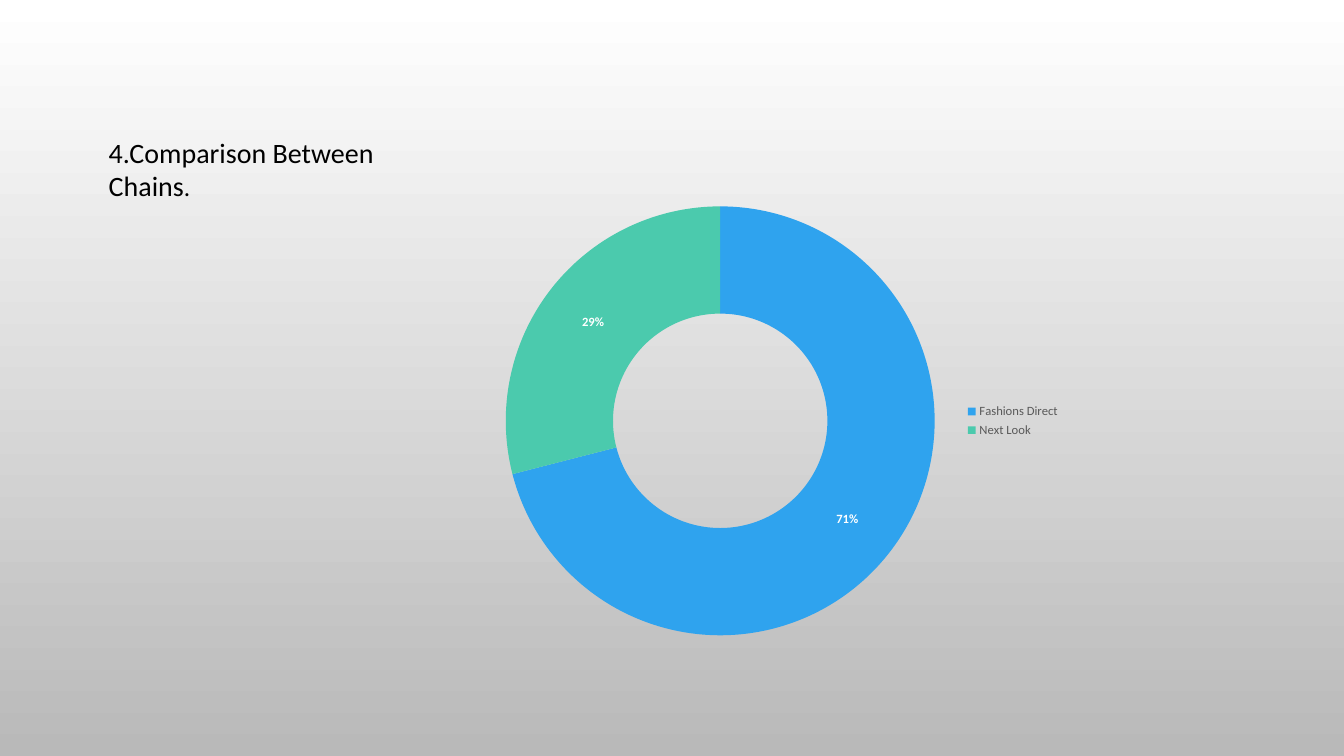
from dataclasses import dataclass

from pptx import Presentation
from pptx.chart import data
from pptx.dml import color
from pptx.enum import chart as kinds
from pptx.util import Cm, Pt


@dataclass(frozen=True)
class Theme:
    font: str = "Calibri"
    ink: str = "000000"
    grey: str = "595959"
    white: str = "FFFFFF"
    sky: tuple = ("FFFFFF", "B9B9B9")
    hues: tuple = ("2FA3EE", "4BCAAD")
    head: int = 20
    stop: int = 18
    base: int = 10
    small: int = 9


THEME = Theme()


def rgb(code):
    return color.RGBColor.from_string(code)


def style(font, size, code, bold=False):
    font.name = THEME.font
    font.size = Pt(size)
    font.bold = bold
    font.color.rgb = rgb(code)


def shade(slide):
    """Fill the background from top to bottom."""
    fill = slide.background.fill
    fill.gradient()
    fill.gradient_angle = 270
    for stop, code in zip(fill.gradient_stops, THEME.sky):
        stop.color.rgb = rgb(code)


def add_text(para, words, size=THEME.head, code=THEME.ink, bold=False):
    run = para.add_run()
    run.text = words
    style(run.font, size, code, bold)


def add_title(slide, left, top, width, height):
    box = slide.shapes.add_textbox(left, top, width, height)
    frame = box.text_frame
    frame.word_wrap = True
    para = frame.paragraphs[0]
    add_text(para, "4.Comparison Between Chains")
    add_text(para, ".", size=THEME.stop)


def add_ring(slide, shares, left, top, width, height):
    """Add a doughnut chart with percent labels and a legend."""
    table = data.CategoryChartData()
    table.categories = list(shares)
    table.add_series("Series 1", list(shares.values()))
    chart = slide.shapes.add_chart(
        kinds.XL_CHART_TYPE.DOUGHNUT, left, top, width, height, table
    ).chart
    style(chart.font, THEME.base, THEME.ink)
    chart.has_title = False

    chart.has_legend = True
    legend = chart.legend
    legend.position = kinds.XL_LEGEND_POSITION.RIGHT
    legend.include_in_layout = False
    style(legend.font, THEME.small, THEME.grey)

    plot = chart.plots[0]
    plot.vary_by_categories = True
    for i, code in enumerate(THEME.hues):
        form = plot.series[0].points[i].format
        form.fill.solid()
        form.fill.fore_color.rgb = rgb(code)
        form.line.fill.background()

    plot.has_data_labels = True
    labels = plot.data_labels
    labels.show_value = False
    labels.show_percentage = True
    labels.number_format = "0%"
    labels.number_format_is_linked = False
    style(labels.font, THEME.small, THEME.white, bold=True)


def main():
    deck = Presentation()
    deck.slide_width, deck.slide_height = Cm(33.87), Cm(19.05)
    slide = deck.slides.add_slide(deck.slide_layouts[6])
    shade(slide)
    add_title(slide, Cm(2.49), Cm(3.28), Cm(9.17), Cm(1.12))
    shares = {"Fashions Direct": 71, "Next Look": 29}
    add_ring(slide, shares, Cm(12.01), Cm(4.85), Cm(14.96), Cm(11.51))
    deck.save("out.pptx")


if __name__ == "__main__":
    main()
